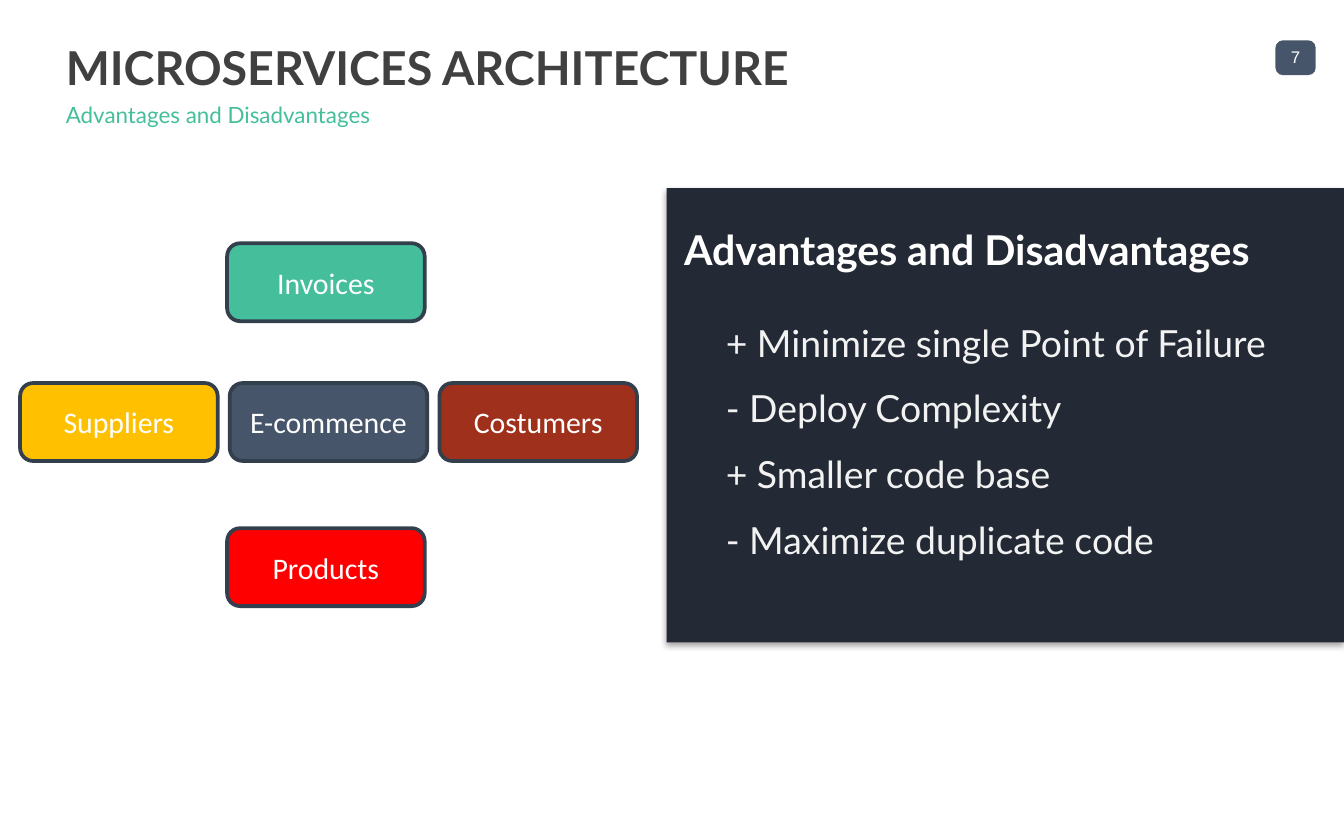
import pptx
import pptx.dml.color
import pptx.enum.shapes
import pptx.enum.text
import pptx.oxml
import pptx.oxml.ns
import pptx.util

Inches = pptx.util.Inches
Pt = pptx.util.Pt
RGBColor = pptx.dml.color.RGBColor
MSO_SHAPE = pptx.enum.shapes.MSO_SHAPE
PP_ALIGN = pptx.enum.text.PP_ALIGN
MSO_ANCHOR = pptx.enum.text.MSO_ANCHOR

WHITE = RGBColor(0xFF, 0xFF, 0xFF)
OFF_WHITE = RGBColor(0xF2, 0xF2, 0xF2)
CHARCOAL = RGBColor(0x40, 0x40, 0x40)
GREEN = RGBColor(0x44, 0xBE, 0x9B)
SLATE = RGBColor(0x46, 0x55, 0x6A)
OUTLINE = RGBColor(0x34, 0x3F, 0x4E)
NAVY = RGBColor(0x23, 0x2A, 0x35)
YELLOW = RGBColor(0xFF, 0xC0, 0x00)
RED = RGBColor(0xFF, 0x00, 0x00)
BRICK = RGBColor(0x9F, 0x30, 0x1B)

SERVICE_WIDTH, SERVICE_HEIGHT = 1.47, 0.58
SERVICE_PITCH = 1.56
ROW_LEFT, ROW_TOP = 0.15, 2.85
COLUMN_LEFT = 1.69

PANEL_SHADOW = (
    f'<a:effectLst {pptx.oxml.ns.nsdecls("a")}>'
    '<a:outerShdw blurRad="39370" dist="22860" dir="5400000" rotWithShape="0">'
    '<a:srgbClr val="000000"><a:alpha val="35000"/></a:srgbClr>'
    '</a:outerShdw></a:effectLst>'
)


def add_run(paragraph, text, size, color, font="Lato", bold=False):
    run = paragraph.add_run()
    run.text = text
    run.font.name = font
    run.font.size = Pt(size)
    run.font.bold = bold
    run.font.color.rgb = color


def set_frame(frame, inset=0.0, anchor=MSO_ANCHOR.MIDDLE, wrap=True):
    """Give a text frame no side margins and equal top and bottom insets."""
    frame.auto_size = pptx.enum.text.MSO_AUTO_SIZE.NONE
    frame.word_wrap = wrap
    frame.vertical_anchor = anchor
    frame.margin_left = frame.margin_right = 0
    frame.margin_top = frame.margin_bottom = Inches(inset)


def add_text_frame(slide, left, top, width, height, **layout):
    box = slide.shapes.add_textbox(
        Inches(left), Inches(top), Inches(width), Inches(height))
    set_frame(box.text_frame, **layout)
    return box.text_frame


def add_heading(slide, text, left, top, width, height, size, color, bold=False):
    frame = add_text_frame(slide, left, top, width, height, inset=0.04)
    add_run(frame.paragraphs[0], text, size, color, bold=bold)


def add_block(slide, preset, left, top, width, height, fill):
    block = slide.shapes.add_shape(
        preset, Inches(left), Inches(top), Inches(width), Inches(height))
    block.shadow.inherit = False
    block.fill.solid()
    block.fill.fore_color.rgb = fill
    block.line.fill.background()
    return block


def add_title(slide, text):
    title = slide.shapes.title
    title.left, title.top = Inches(0.49), Inches(0.3)
    title.width, title.height = Inches(9), Inches(0.39)
    set_frame(title.text_frame, inset=0.04)
    paragraph = title.text_frame.paragraphs[0]
    paragraph.alignment = PP_ALIGN.LEFT
    add_run(paragraph, text, 25, CHARCOAL, bold=True)


def add_page_badge(slide, number):
    badge = add_block(slide, MSO_SHAPE.ROUNDED_RECTANGLE, 9.49, 0.3, 0.3, 0.26, SLATE)
    badge.adjustments[0] = 0.22
    frame = add_text_frame(slide, 9.56, 0.29, 0.16, 0.27, wrap=False)
    frame.paragraphs[0].alignment = PP_ALIGN.CENTER
    add_run(frame.paragraphs[0], number, 9, WHITE, font="Arial")


def add_panel(slide):
    panel = add_block(slide, MSO_SHAPE.RECTANGLE, 4.96, 1.4, 5.04, 3.38, NAVY)
    properties = panel._element.spPr
    properties.remove(properties.find(pptx.oxml.ns.qn("a:effectLst")))
    properties.append(pptx.oxml.parse_xml(PANEL_SHADOW))


def add_points(slide, points):
    frame = add_text_frame(slide, 5.4, 2.28, 4.49, 2, anchor=MSO_ANCHOR.TOP)
    for index, point in enumerate(points):
        paragraph = frame.add_paragraph() if index else frame.paragraphs[0]
        paragraph.alignment = PP_ALIGN.JUSTIFY
        paragraph.line_spacing = 1.3
        paragraph.space_before = Pt(4)
        add_run(paragraph, point, 20, OFF_WHITE)


def add_service(slide, name, left, top, fill):
    service = add_block(slide, MSO_SHAPE.FLOWCHART_ALTERNATE_PROCESS,
                        left, top, SERVICE_WIDTH, SERVICE_HEIGHT, fill)
    service.line.color.rgb = OUTLINE
    service.line.width = Pt(2)
    frame = service.text_frame
    frame.vertical_anchor = MSO_ANCHOR.MIDDLE
    frame.paragraphs[0].alignment = PP_ALIGN.CENTER
    add_run(frame.paragraphs[0], name, 16, WHITE, font="Calibri")


def main():
    deck = pptx.Presentation()
    deck.slide_width, deck.slide_height = Inches(10), Inches(6.25)
    slide = deck.slides.add_slide(deck.slide_layouts.get_by_name("Title Only"))

    add_page_badge(slide, "7")
    add_panel(slide)
    add_title(slide, "MICROSERVICES ARCHITECTURE")
    add_heading(slide, "Advantages and Disadvantages", 0.49, 0.75, 9, 0.21, 12, GREEN)
    add_heading(slide, "Advantages and Disadvantages",
                5.09, 1.66, 4.91, 0.39, 22, WHITE, bold=True)
    add_points(slide, [
        "+ Minimize single Point of Failure",
        "- Deploy Complexity",
        "+ Smaller code base",
        "- Maximize duplicate code",
    ])

    row = [("Suppliers", YELLOW), ("E-commence", SLATE), ("Costumers", BRICK)]
    for index, (name, fill) in enumerate(row):
        add_service(slide, name, ROW_LEFT + index * SERVICE_PITCH, ROW_TOP, fill)
    for name, top, fill in [("Invoices", 1.81, GREEN), ("Products", 3.93, RED)]:
        add_service(slide, name, COLUMN_LEFT, top, fill)

    deck.save("out.pptx")


if __name__ == "__main__":
    main()
